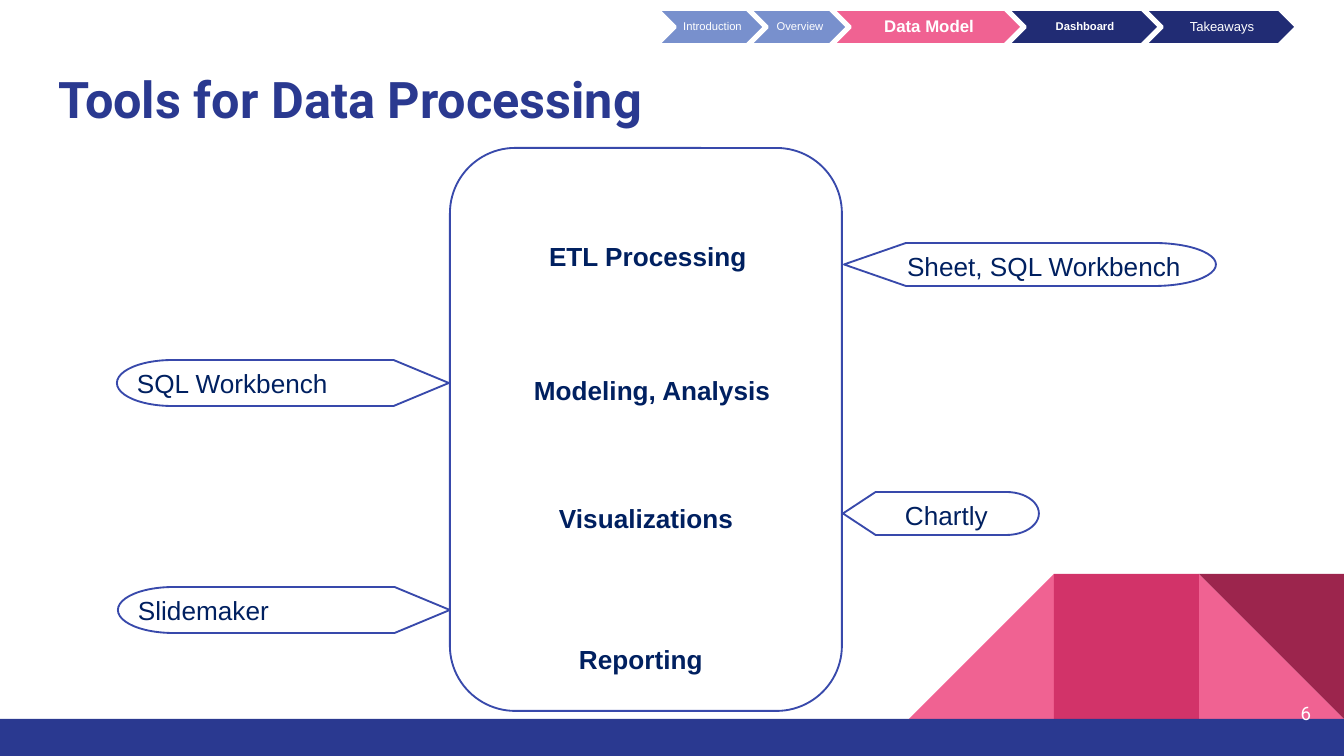
import pptx
import pptx.dml.color
import pptx.enum.shapes
import pptx.enum.text
import pptx.util

SHAPE = pptx.enum.shapes.MSO_SHAPE
ALIGN = pptx.enum.text.PP_ALIGN
ANCHOR = pptx.enum.text.MSO_ANCHOR
SCALE = 914400 / 134.4
COLORS = {
    "navy": "2A3990", "dark": "212C74", "soft": "7890CD", "outline": "3849AB",
    "ink": "002060", "pink": "F06292", "rose": "D23369", "wine": "9C254D",
    "white": "FFFFFF",
}


def px(n):
    return pptx.util.Emu(round(n * SCALE))


def rgb(name):
    return pptx.dml.color.RGBColor.from_string(COLORS[name])


def add_shape(s, kind, box, fill=None, line=None, width=1, flip=False):
    sp = s.shapes.add_shape(kind, *map(px, box))
    sp.shadow.inherit = False
    if fill:
        sp.fill.solid()
        sp.fill.fore_color.rgb = rgb(fill)
    else:
        sp.fill.background()
    if line:
        sp.line.color.rgb = rgb(line)
        sp.line.width = pptx.util.Pt(width)
    else:
        sp.line.fill.background()
    if flip:
        sp._element.spPr.xfrm.set("flipH", "1")
    return sp


def add_text(s, box, text, size, color="ink", bold=False, font="Arial",
             align=ALIGN.LEFT, anchor=ANCHOR.TOP, insets=(13, 7, 13, 7), spacing=None):
    tf = s.shapes.add_textbox(*map(px, box)).text_frame
    tf.word_wrap = True
    tf.vertical_anchor = anchor
    tf.margin_left, tf.margin_top, tf.margin_right, tf.margin_bottom = map(px, insets)
    p = tf.paragraphs[0]
    p.text = text
    p.alignment = align
    p.line_spacing = spacing
    p.font.name = font
    p.font.size = pptx.util.Pt(size)
    p.font.bold = bold
    p.font.color.rgb = rgb(color)


def add_footer(s, x, y, w, h):
    side = 145
    bar_y = y + h - 37
    top = bar_y - side
    left, middle, right = (x + w - side * n for n in (3, 2, 1))
    add_shape(s, SHAPE.RIGHT_TRIANGLE, (right, top, side, side), "pink")
    add_shape(s, SHAPE.RIGHT_TRIANGLE, (left, top, side, side), "pink", flip=True)
    add_shape(s, SHAPE.RECTANGLE, (middle, top, side, side), "rose")
    corner = add_shape(s, SHAPE.RIGHT_TRIANGLE, (right, top, side, side), "wine")
    corner.rotation = 180
    add_shape(s, SHAPE.RECTANGLE, (x, bar_y, w, 37), "navy")
    add_text(s, (x + w - 101, bar_y - 35, 81, 58), "6", 10, "white", font="Roboto",
             align=ALIGN.RIGHT, anchor=ANCHOR.MIDDLE, insets=(13,) * 4)


def add_progress(s, x, y, h):
    steps = [
        ("Introduction", 108, "soft", 6, False),
        ("Overview", 99, "soft", 6, False),
        ("Data Model", 191, "pink", 9, True),
        ("Dashboard", 153, "dark", 6, True),
        ("Takeaways", 153, "dark", 7, False),
    ]
    for text, w, fill, size, bold in steps:
        add_shape(s, SHAPE.CHEVRON, (x, y, w, h), fill, "white", 2)
        add_text(s, (x + 22, y, w - 44, h), text, size, "white", bold,
                 align=ALIGN.CENTER, anchor=ANCHOR.MIDDLE, insets=(4, 1, 1, 1), spacing=0.9)
        x += w - 16


def add_stages(s, x, y, w, h):
    add_shape(s, SHAPE.ROUNDED_RECTANGLE, (x, y, w, h), line="outline")
    stages = [
        ("ETL Processing", 86, 85, 233),
        ("Modeling, Analysis", 71, 219, 278),
        ("Visualizations", 96, 347, 203),
        ("Reporting", 116, 488, 151),
    ]
    for text, dx, dy, width in stages:
        add_text(s, (x + dx, y + dy, width, 46), text, 14, bold=True)


def add_tool(s, x, y, w, h, text, dx, flip=False):
    add_shape(s, SHAPE.FLOWCHART_DISPLAY, (x, y, w, h), line="outline", flip=flip)
    add_text(s, (x + dx, y, w - dx, 46), text, 14)


def main():
    prs = pptx.Presentation()
    prs.slide_width, prs.slide_height = px(1344), px(756)
    s = prs.slides.add_slide(prs.slide_layouts[6])
    add_footer(s, 0, 0, 1344, 756)
    add_text(s, (46, 46, 1253, 89), "Tools for Data Processing", 27, "navy", True,
             "Roboto", insets=(13,) * 4, spacing=1.15)
    add_stages(s, 450, 148, 392, 563)
    add_tool(s, 844, 243, 372, 43, "Sheet, SQL Workbench", 50)
    add_tool(s, 843, 492, 196, 43, "Chartly", 49)
    add_tool(s, 117, 360, 332, 46, "SQL Workbench", 7, True)
    add_tool(s, 118, 587, 332, 46, "Slidemaker", 7, True)
    add_progress(s, 657, 9, 36)
    prs.save("out.pptx")


if __name__ == "__main__":
    main()
